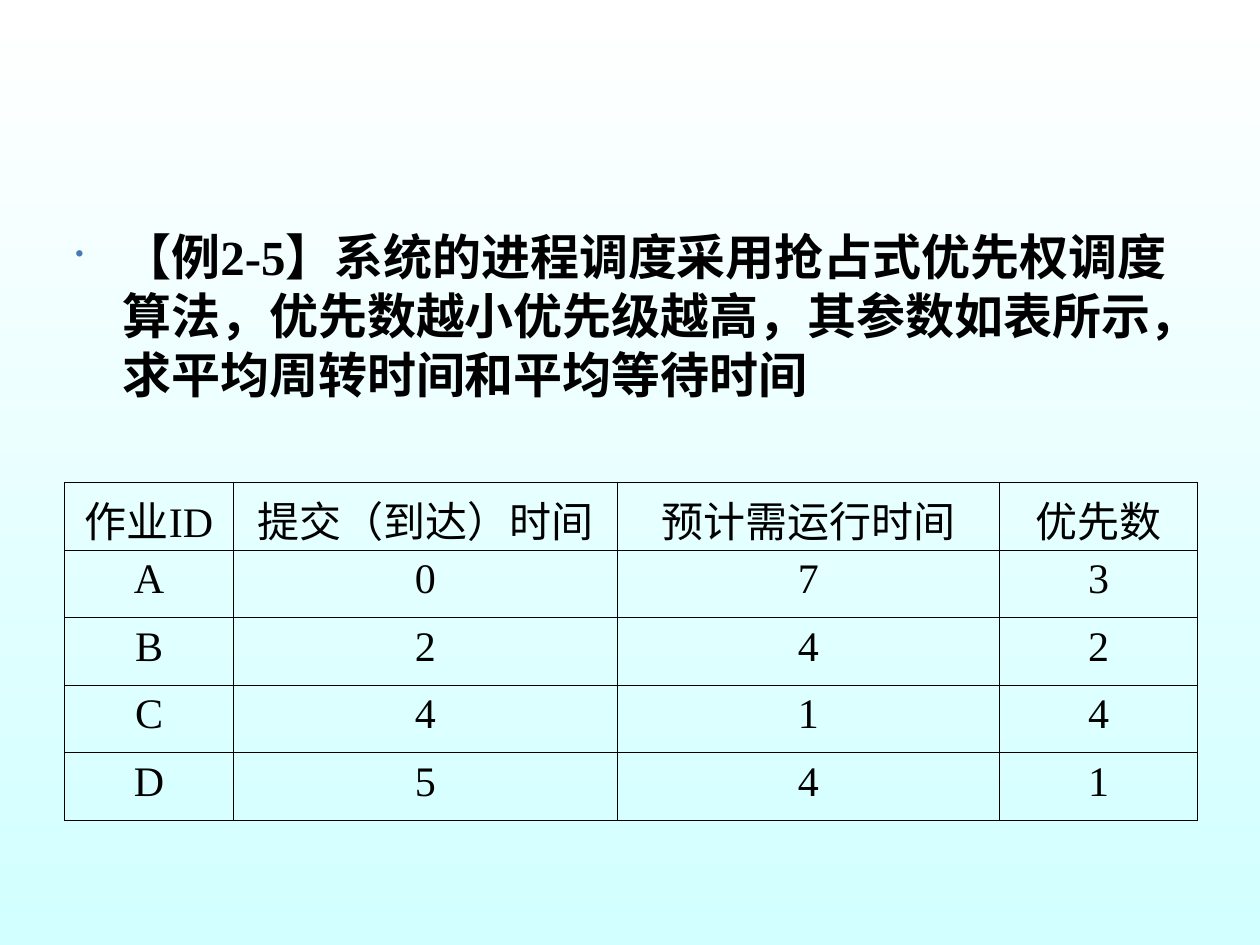
from dataclasses import dataclass

from lxml import etree
from pptx import Presentation
from pptx.dml.color import RGBColor
from pptx.enum.text import PP_ALIGN
from pptx.oxml.ns import qn
from pptx.util import Cm, Pt

QUESTION = (
    "【例2-5】系统的进程调度采用抢占式优先权调度算法，"
    "优先数越小优先级越高，其参数如表所示，求平均周转时间和平均等待时间"
)
HEADINGS = ["作业ID", "提交（到达）时间", "预计需运行时间", "优先数"]
JOBS = [
    ("A", 0, 7, 3),
    ("B", 2, 4, 2),
    ("C", 4, 1, 4),
    ("D", 5, 4, 1),
]
COLUMN_WIDTHS = [3.41, 7.73, 7.71, 3.99]
ROW_HEIGHT = 1.36


@dataclass(frozen=True)
class Theme:
    ink: str = "000000"
    bullet: str = "477AB1"
    background: tuple = ("FFFFFF", "D2FFFF")
    latin: str = "Times New Roman"
    east_asian: str = "Noto Sans CJK SC"
    question_size: int = 28
    table_size: int = 24
    border: float = 0.45


THEME = Theme()


def add_text(paragraph, words, size, bold=False):
    run = paragraph.add_run()
    run.text = words
    font = run.font
    font.name = THEME.latin
    font.size = Pt(size)
    font.bold = bold
    font.color.rgb = RGBColor.from_string(THEME.ink)
    east_asian = etree.Element(qn("a:ea"), typeface=THEME.east_asian)
    run._r.rPr.find(qn("a:latin")).addnext(east_asian)


def add_bullet(paragraph, indent):
    """Give the paragraph a half-size coloured dot and a hanging indent."""
    properties = paragraph._p.get_or_add_pPr()
    properties.set("marL", str(indent))
    properties.set("indent", str(-indent))
    colour = etree.SubElement(properties, qn("a:buClr"))
    etree.SubElement(colour, qn("a:srgbClr"), val=THEME.bullet)
    etree.SubElement(properties, qn("a:buSzPct"), val="50000")
    etree.SubElement(properties, qn("a:buChar"), char="•")


def add_borders(cell):
    properties = cell._tc.get_or_add_tcPr()
    for position, side in enumerate("LRTB"):
        line = etree.Element(qn(f"a:ln{side}"), w=str(Pt(THEME.border)))
        fill = etree.SubElement(line, qn("a:solidFill"))
        etree.SubElement(fill, qn("a:srgbClr"), val=THEME.ink)
        properties.insert(position, line)


def paint_background(slide):
    fill = slide.background.fill
    fill.gradient()
    fill.gradient_angle = 270
    for stop, colour in zip(fill.gradient_stops, THEME.background):
        stop.color.rgb = RGBColor.from_string(colour)


def add_question(slide):
    box = slide.shapes.add_textbox(Cm(1.27), Cm(4.45), Cm(22.83), Cm(4.67))
    frame = box.text_frame
    frame.word_wrap = True
    paragraph = frame.paragraphs[0]
    add_bullet(paragraph, Cm(0.95))
    add_text(paragraph, QUESTION, THEME.question_size, bold=True)


def add_job_table(slide):
    rows = [HEADINGS, *JOBS]
    table = slide.shapes.add_table(
        len(rows), len(HEADINGS), Cm(1.3), Cm(9.73),
        Cm(sum(COLUMN_WIDTHS)), Cm(ROW_HEIGHT * len(rows)),
    ).table
    table.first_row = False
    table.horz_banding = False
    for column, width in zip(table.columns, COLUMN_WIDTHS):
        column.width = Cm(width)
    for row, values in zip(table.rows, rows):
        row.height = Cm(ROW_HEIGHT)
        for cell, value in zip(row.cells, values):
            cell.fill.background()
            add_borders(cell)
            paragraph = cell.text_frame.paragraphs[0]
            paragraph.alignment = PP_ALIGN.CENTER
            add_text(paragraph, str(value), THEME.table_size)


def main():
    presentation = Presentation()
    presentation.slide_width = Cm(25.4)
    presentation.slide_height = Cm(19.05)
    slide = presentation.slides.add_slide(presentation.slide_layouts[6])
    paint_background(slide)
    add_question(slide)
    add_job_table(slide)
    presentation.save("out.pptx")


if __name__ == "__main__":
    main()
